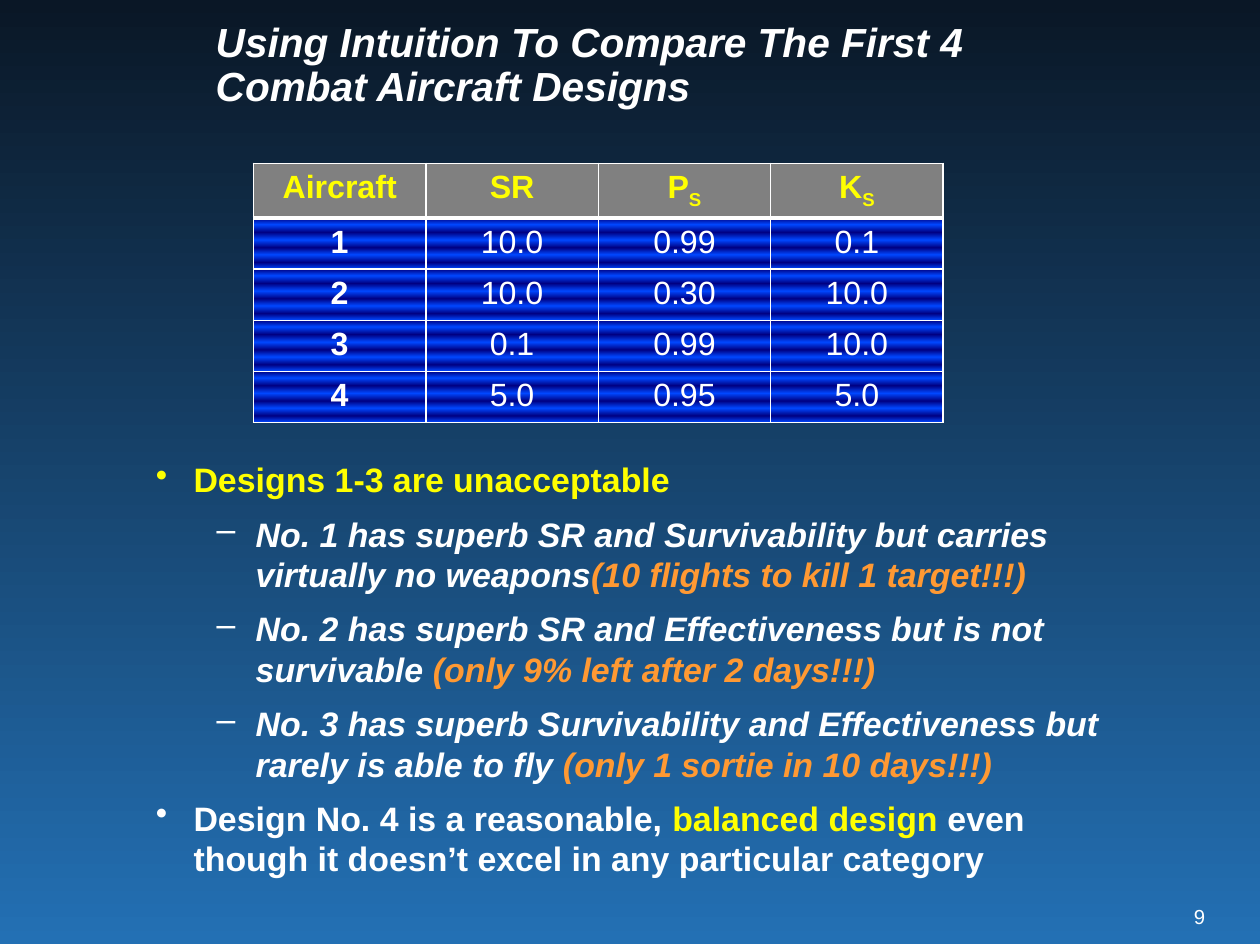
import pptx
import pptx.dml.color
import pptx.enum.text
import pptx.oxml
import pptx.oxml.ns
import pptx.util
from pptx.util import Inches

WHITE, YELLOW, ORANGE, GRAY = "FFFFFF", "FFFF00", "FF9933", "808080"
SKY = [(0, "0A1726"), (100, "2370B4")]
STRIPES = [(pos, ("000082", "0047FF")[i % 2])
           for i, pos in enumerate((0, 13, 28, 43, 58, 72, 87, 100))]
ALIGN = pptx.enum.text.PP_ALIGN

ROWS = [
    ("Aircraft", "SR", "PS", "KS"),
    ("1", "10.0", "0.99", "0.1"),
    ("2", "10.0", "0.30", "10.0"),
    ("3", "0.1", "0.99", "10.0"),
    ("4", "5.0", "0.95", "5.0"),
]
POINTS = [
    (0, [("Designs 1-3 are unacceptable", YELLOW)]),
    (1, [("No. 1 has superb SR and Survivability but carries virtually no weapons", WHITE),
         ("(10 flights to kill 1 target!!!)", ORANGE)]),
    (1, [("No. 2 has superb SR and Effectiveness but is not survivable ", WHITE),
         ("(only 9% left after 2 days!!!)", ORANGE)]),
    (1, [("No. 3 has superb Survivability and Effectiveness but rarely is able to fly ", WHITE),
         ("(only 1 sortie in 10 days!!!)", ORANGE)]),
    (0, [("Design No. 4 is a reasonable, ", WHITE), ("balanced design", YELLOW),
         (" even though it doesn’t excel in any particular category", WHITE)]),
]
BULLETS = [("•", 0.31, -0.31), ("–", 0.82, -0.32)]


def rgb(color):
    """Turn a hex string into a colour."""
    return pptx.dml.color.RGBColor.from_string(color)


def xml(tag, attrs, inner=""):
    """Build one drawing element."""
    return pptx.oxml.parse_xml(
        f'<a:{tag} {pptx.oxml.ns.nsdecls("a")} {attrs}>{inner}</a:{tag}>')


def add_text(p, text, size=20, color=WHITE, bold=False, italic=False, baseline=0):
    """Add a formatted run to a paragraph."""
    r = p.add_run()
    r.text = text
    r.font.name = "Arial"
    r.font.size = pptx.util.Pt(size)
    r.font.bold, r.font.italic = bold, italic
    r.font.color.rgb = rgb(color)
    if baseline:
        r.font._element.set("baseline", str(baseline * 1000))


def set_gradient(fill, parent, stops):
    """Fill with a top-to-bottom gradient."""
    fill.gradient()
    fill.gradient_angle = 270
    stop_list = parent.find(".//" + pptx.oxml.ns.qn("a:gsLst"))
    for old in list(stop_list):
        stop_list.remove(old)
    for pos, color in stops:
        stop_list.append(xml("gs", f'pos="{pos * 1000}"', f'<a:srgbClr val="{color}"/>'))


def add_title(s, text):
    """Place and format the title."""
    sp = s.shapes.title
    sp.left, sp.top, sp.width, sp.height = Inches(1.67), 0, Inches(7.5), Inches(1.08)
    tf = sp.text_frame
    tf.auto_size = pptx.enum.text.MSO_AUTO_SIZE.NONE
    tf.vertical_anchor = pptx.enum.text.MSO_ANCHOR.MIDDLE
    p = tf.paragraphs[0]
    p.alignment = ALIGN.LEFT
    p.line_spacing = pptx.util.Pt(26)
    add_text(p, text, size=24, bold=True, italic=True)


def set_borders(cell, row):
    """Draw white cell borders, thick under the header."""
    tc_pr = cell._tc.get_or_add_tcPr()
    widths = {"L": 1, "R": 1, "T": 3 if row == 1 else 1, "B": 3 if row == 0 else 1}
    for side, width in widths.items():
        tc_pr.append(xml(f"ln{side}", f'w="{width * 12700}"',
                         f'<a:solidFill><a:srgbClr val="{WHITE}"/></a:solidFill>'))


def add_design_table(s):
    """Add the table of the aircraft designs."""
    table = s.shapes.add_table(len(ROWS), len(ROWS[0]), Inches(2.08), Inches(1.34),
                               Inches(5.66), Inches(2.13)).table
    for i, values in enumerate(ROWS):
        header = i == 0
        table.rows[i].height = Inches(0.45 if header else 0.42)
        for j, value in enumerate(values):
            cell = table.cell(i, j)
            set_borders(cell, i)
            p = cell.text_frame.paragraphs[0]
            p.alignment = ALIGN.CENTER
            style = {"size": 19, "color": YELLOW if header else WHITE,
                     "bold": header or j == 0}
            if value in ("PS", "KS"):
                add_text(p, value[0], **style)
                add_text(p, value[1], baseline=-25, **style)
            else:
                add_text(p, value, **style)
            if header:
                cell.fill.solid()
                cell.fill.fore_color.rgb = rgb(GRAY)
            else:
                set_gradient(cell.fill, cell._tc, STRIPES)


def add_points(s):
    """Add the bulleted conclusions."""
    tf = s.shapes.add_textbox(Inches(1.18), Inches(3.72), Inches(8.22), Inches(3.67)).text_frame
    tf.word_wrap = True
    for i, (level, runs) in enumerate(POINTS):
        p = tf.add_paragraph() if i else tf.paragraphs[0]
        p.level = level
        p.line_spacing = pptx.util.Pt(24)
        p.space_before = p.space_after = pptx.util.Pt(4)
        char, margin, indent = BULLETS[level]
        p_pr = p._p.get_or_add_pPr()
        p_pr.set("marL", str(Inches(margin)))
        p_pr.set("indent", str(Inches(indent)))
        p_pr.append(xml("buChar", f'char="{char}"'))
        for text, color in runs:
            add_text(p, text, color=color, bold=True, italic=level == 1)


def add_page_number(s, text):
    """Add the page number in the corner."""
    tf = s.shapes.add_textbox(Inches(9.69), Inches(7.42), Inches(0.2), Inches(0.2)).text_frame
    tf.margin_left = tf.margin_right = tf.margin_top = tf.margin_bottom = 0
    p = tf.paragraphs[0]
    p.alignment = ALIGN.RIGHT
    tf.word_wrap = True
    add_text(p, text, size=12)


def main():
    """Build and save the slide."""
    prs = pptx.Presentation()
    prs.slide_width, prs.slide_height = Inches(10.34), Inches(7.75)
    s = prs.slides.add_slide(prs.slide_layouts[5])
    set_gradient(s.background.fill, s.element, SKY)
    add_title(s, "Using Intuition To Compare The First 4 Combat Aircraft Designs")
    add_design_table(s)
    add_points(s)
    add_page_number(s, "9")
    prs.save("out.pptx")


if __name__ == "__main__":
    main()
